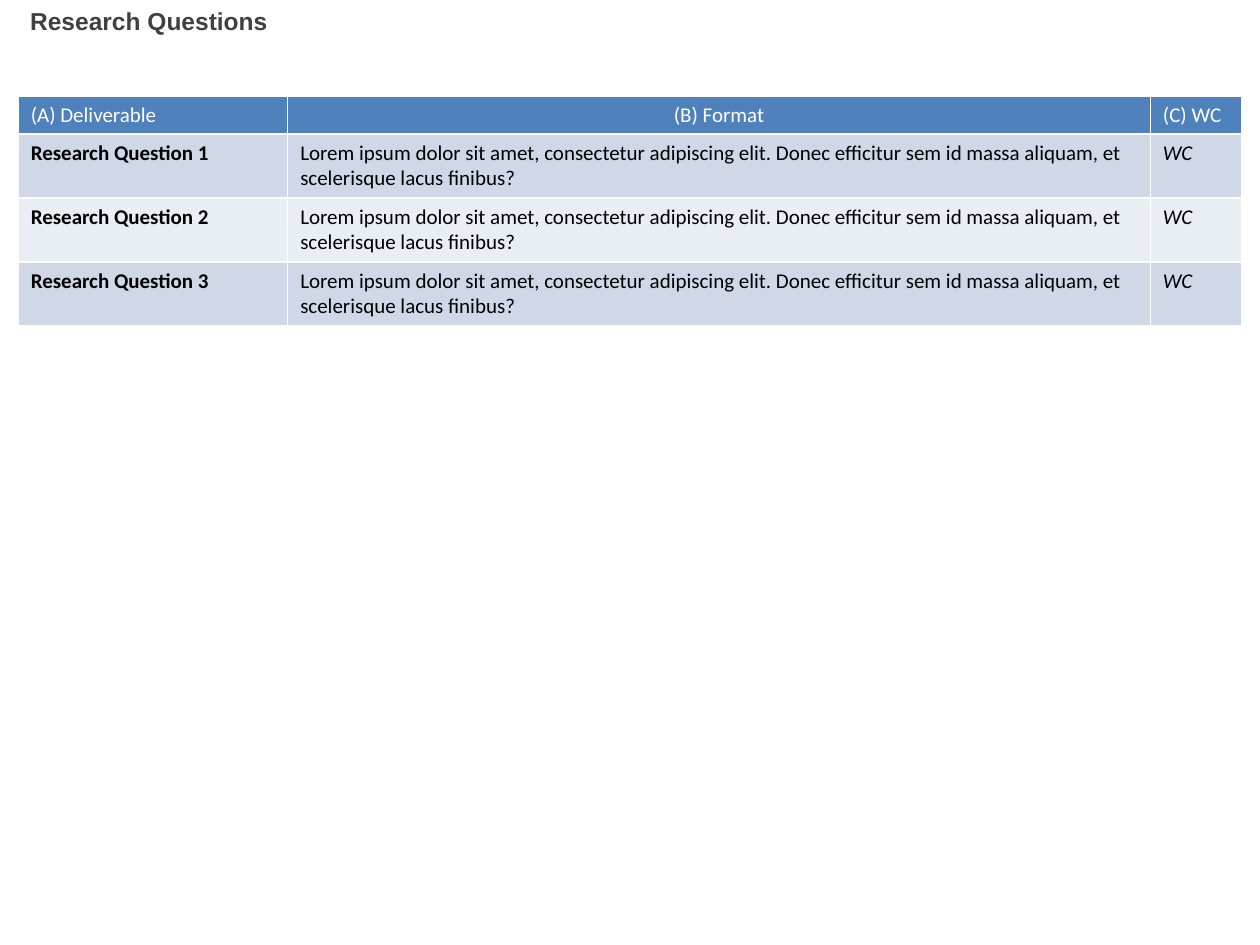
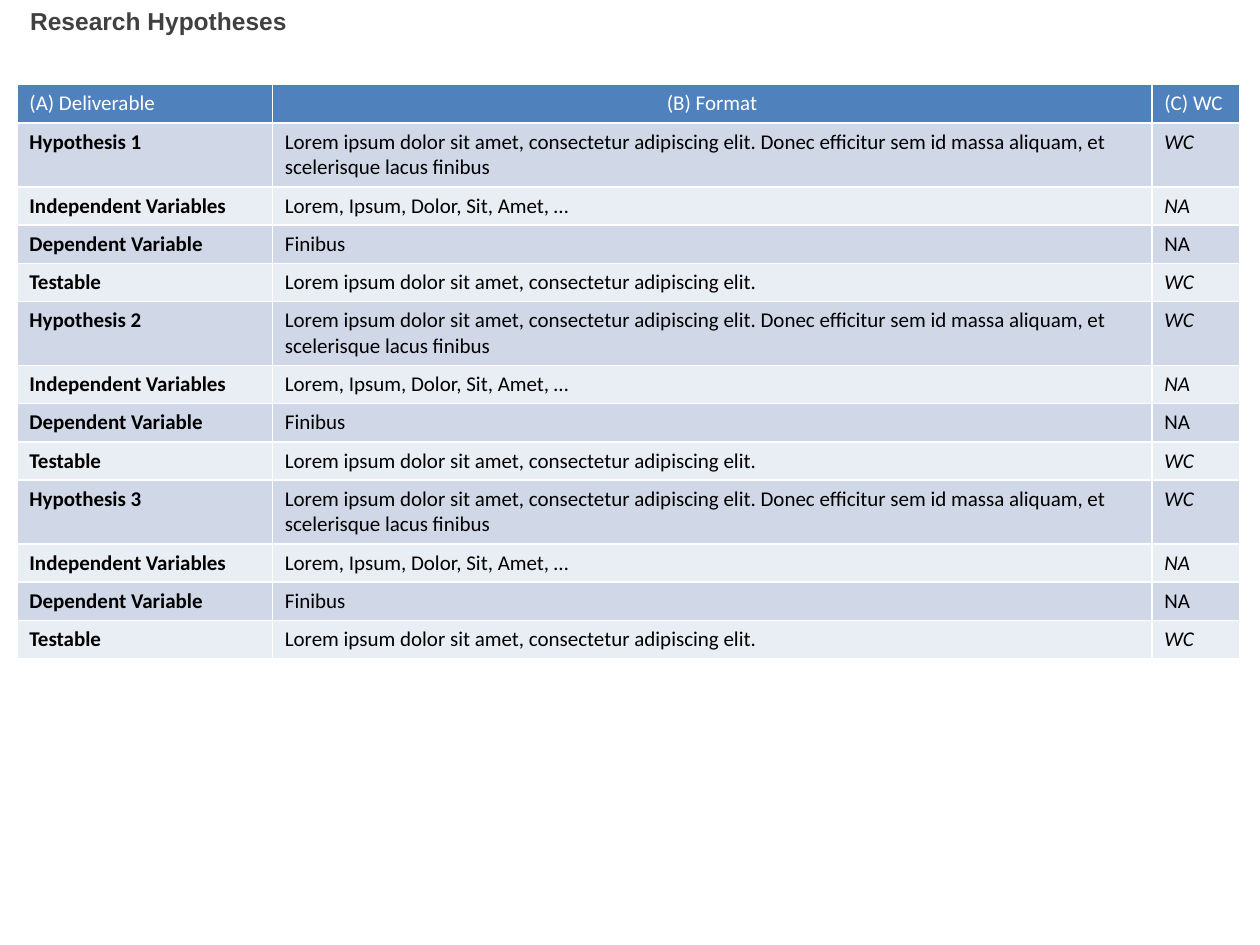
from pptx import Presentation
from pptx.dml.color import RGBColor
from pptx.enum.text import MSO_ANCHOR, MSO_AUTO_SIZE, PP_ALIGN
from pptx.util import Pt

COLORS = {
    "title": "404040",
    "header": "4F81BD",
    "header_text": "FFFFFF",
    "odd_row": "D0D8E8",
    "even_row": "E9EDF4",
    "text": "000000",
}
HEADER = ("(A) Deliverable", "(B) Format", "(C) WC")
SHORT_ROW, TALL_ROW = 21.8, 36.5
SENTENCE = "Lorem ipsum dolor sit amet, consectetur adipiscing elit."
LONG_TEXT = f"{SENTENCE} Donec efficitur sem id massa aliquam, et scelerisque lacus finibus"

question_rows = [(f"Research Question {number}", f"{LONG_TEXT}?", "WC") for number in (1, 2, 3)]
hypothesis_rows = []
for number in (1, 2, 3):
    hypothesis_rows += [
        (f"Hypothesis {number}", LONG_TEXT, "WC"),
        ("Independent Variables", "Lorem, Ipsum, Dolor, Sit, Amet, …", "NA"),
        ("Dependent Variable", "Finibus", "NA"),
        ("Testable", SENTENCE, "WC"),
    ]

# title, table left and top, column widths, body rows
SLIDES = [
    ("Research Questions", 10.4, 54.8, (154, 493, 52), question_rows),
    ("Research Hypotheses", 9.6, 48.4, (146, 502.6, 50.4), hypothesis_rows),
]


def style_font(font, name, size, color, bold=False, italic=False):
    font.name = name
    font.size = Pt(size)
    font.color.rgb = RGBColor.from_string(COLORS[color])
    font.bold = bold
    font.italic = italic


presentation = Presentation()
presentation.slide_width, presentation.slide_height = Pt(720), Pt(540)
title_only_layout = presentation.slide_layouts[5]

for title_text, left, top, widths, body_rows in SLIDES:
    slide = presentation.slides.add_slide(title_only_layout)

    title = slide.shapes.title
    title.left, title.top, title.width, title.height = Pt(10), Pt(0), Pt(610.6), Pt(49)
    title.text_frame.text = title_text
    title.text_frame.auto_size = MSO_AUTO_SIZE.NONE
    title.text_frame.vertical_anchor = MSO_ANCHOR.TOP
    paragraph = title.text_frame.paragraphs[0]
    paragraph.alignment = PP_ALIGN.LEFT
    style_font(paragraph.font, "Arial", 14, "title", bold=True)

    rows = [HEADER] + body_rows
    heights = [TALL_ROW if LONG_TEXT in row[1] else SHORT_ROW for row in rows]
    table = slide.shapes.add_table(
        len(rows), len(widths), Pt(left), Pt(top), Pt(sum(widths)), Pt(sum(heights))
    ).table
    for column, width in zip(table.columns, widths):
        column.width = Pt(width)

    for row_index, (row, height) in enumerate(zip(rows, heights)):
        table.rows[row_index].height = Pt(height)
        is_header = row_index == 0
        band = "header" if is_header else "odd_row" if row_index % 2 else "even_row"
        for column_index, text in enumerate(row):
            cell = table.cell(row_index, column_index)
            cell.text = text
            cell.fill.solid()
            cell.fill.fore_color.rgb = RGBColor.from_string(COLORS[band])
            paragraph = cell.text_frame.paragraphs[0]
            if is_header and column_index == 1:
                paragraph.alignment = PP_ALIGN.CENTER
            style_font(
                paragraph.font, "Calibri", 12,
                "header_text" if is_header else "text",
                bold=not is_header and column_index == 0,
                italic=not is_header and column_index == 2 and row[0] != "Dependent Variable",
            )

presentation.save("out.pptx")
